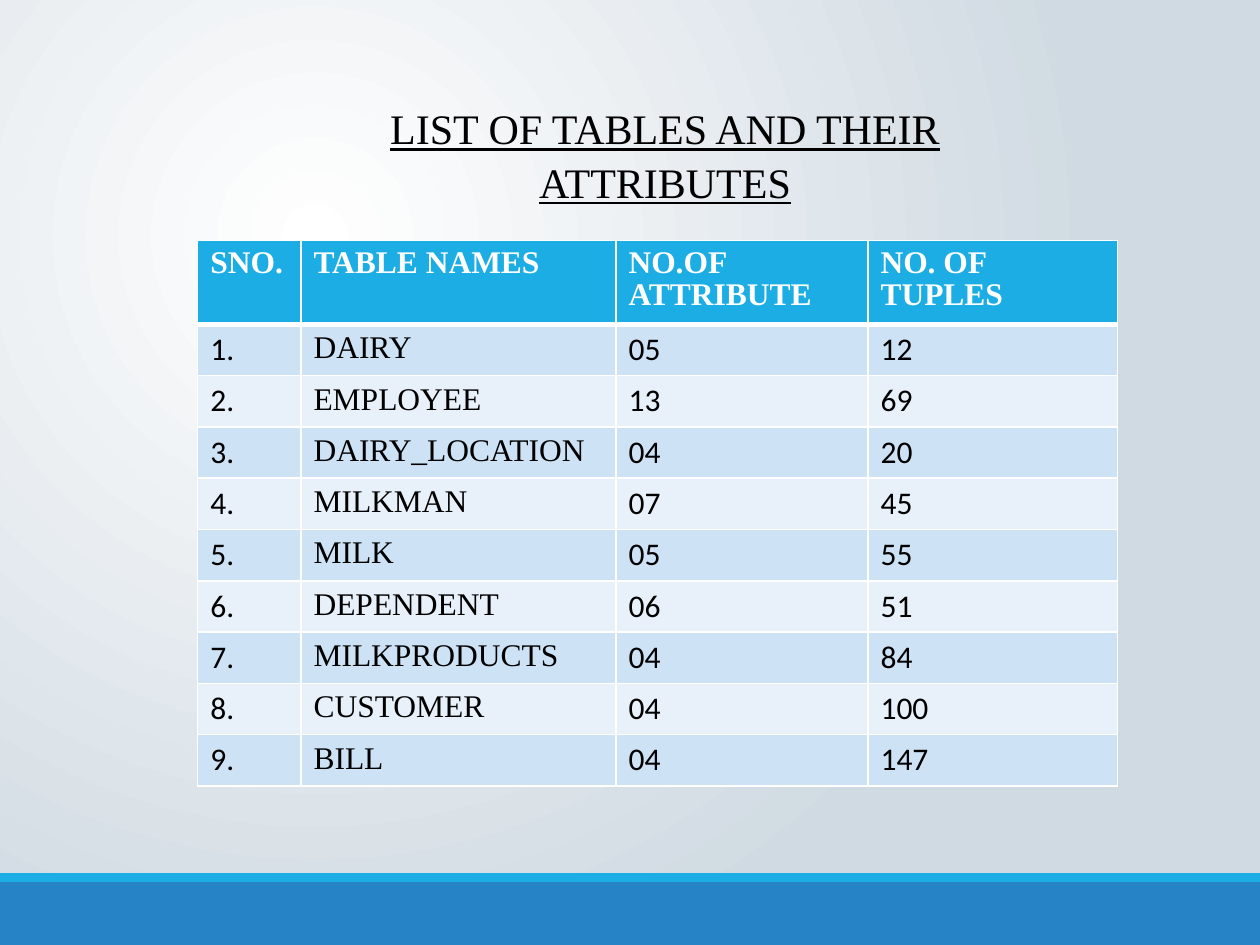
import dataclasses
import lxml.etree
import pptx
import pptx.dml.color
import pptx.enum.dml
import pptx.enum.shapes
import pptx.enum.text
import pptx.oxml
import pptx.oxml.ns
import pptx.util

Pt = pptx.util.Pt
qn = pptx.oxml.ns.qn


@dataclasses.dataclass(frozen=True)
class Theme:
    """Colours, fonts and type sizes of the slide."""
    black: str = "000000"
    white: str = "FFFFFF"
    mist: str = "D0DAE2"
    band: str = "2683C6"
    head: str = "1CADE4"
    odd: str = "CDE3F5"
    even: str = "E8F1FA"
    serif: str = "Times New Roman"
    sans: str = "Calibri"
    large: float = 24
    small: float = 18


THEME = Theme()
HEADS = ["SNO.", "TABLE NAMES", "NO.OF ATTRIBUTE", "NO. OF TUPLES"]
ROWS = [
    ("DAIRY", "05", "12"),
    ("EMPLOYEE", "13", "69"),
    ("DAIRY_LOCATION", "04", "20"),
    ("MILKMAN", "07", "45"),
    ("MILK", "05", "55"),
    ("DEPENDENT", "06", "51"),
    ("MILKPRODUCTS", "04", "84"),
    ("CUSTOMER", "04", "100"),
    ("BILL", "04", "147"),
]
SHARES = [59, 180, 144, 142.5]


def tint(code):
    """Return the colour object of a hex code."""
    return pptx.dml.color.RGBColor.from_string(code)


def write(frame, text, size=THEME.small, font=THEME.sans, color=THEME.black,
          bold=False, line=False, align=pptx.enum.text.PP_ALIGN.LEFT, space=1.0):
    """Put formatted text in a text frame."""
    para = frame.paragraphs[0]
    para.alignment = align
    para.line_spacing = space
    run = para.add_run()
    run.text = text
    run.font.size = Pt(size)
    run.font.name = font
    run.font.bold = bold
    run.font.underline = line
    run.font.color.rgb = tint(color)


def paint(slide):
    """Fill the background with a radial gradient."""
    fill = slide.background.fill
    fill.gradient()
    for stop, code, place in zip(fill.gradient_stops, (THEME.white, THEME.mist), (0, 1)):
        stop.color.rgb = tint(code)
        stop.position = place
    grad = slide.background._cSld.find(".//" + qn("a:gradFill"))
    grad.remove(grad.find(qn("a:lin")))
    ring = lxml.etree.SubElement(grad, qn("a:path"), path="circle")
    lxml.etree.SubElement(ring, qn("a:fillToRect"),
                          l="50000", t="50000", r="100000", b="100000")


def footer(slide, left, top, width, height):
    """Draw the thin strip and the wide band below it."""
    strip = 5
    for y, tall, code in ((top + strip, height - strip, THEME.band),
                          (top, strip, THEME.head)):
        bar = slide.shapes.add_shape(pptx.enum.shapes.MSO_SHAPE.RECTANGLE,
                                     Pt(left), Pt(y), Pt(width), Pt(tall))
        bar.shadow.inherit = False
        bar.fill.solid()
        bar.fill.fore_color.rgb = tint(code)
        bar.line.fill.background()


def heading(slide, left, top, width, height):
    """Place and format the title."""
    title = slide.shapes.title
    title.left, title.top = Pt(left), Pt(top)
    title.width, title.height = Pt(width), Pt(height)
    frame = title.text_frame
    frame.word_wrap = True
    frame.auto_size = pptx.enum.text.MSO_AUTO_SIZE.SHAPE_TO_FIT_TEXT
    frame.vertical_anchor = pptx.enum.text.MSO_ANCHOR.TOP
    write(frame, "LIST OF TABLES AND THEIR ATTRIBUTES", size=THEME.large,
          font=THEME.serif, line=True, space=1.06,
          align=pptx.enum.text.PP_ALIGN.CENTER)


def edge(cell, **widths):
    """Give a cell white borders of the stated widths."""
    props = cell._tc.get_or_add_tcPr()
    for side in "LRTB":
        rule = lxml.etree.SubElement(props, qn("a:ln" + side),
                                     w=str(Pt(widths.get(side, 1))))
        fill = lxml.etree.SubElement(rule, qn("a:solidFill"))
        lxml.etree.SubElement(fill, qn("a:srgbClr"), val=THEME.white)


def listing(slide, left, top, width, height):
    """Build the table of names and counts."""
    data = [HEADS] + [(f"{n}.", *row) for n, row in enumerate(ROWS, 1)]
    table = slide.shapes.add_table(len(data), len(HEADS), Pt(left), Pt(top),
                                   Pt(width), Pt(height)).table
    table.horz_banding = False
    for col, share in zip(table.columns, SHARES):
        col.width = Pt(width * share / sum(SHARES))
    first = 46.5
    for r, row in enumerate(data):
        table.rows[r].height = Pt((height - first) / len(ROWS) if r else first)
        for c, text in enumerate(row):
            cell = table.cell(r, c)
            edge(cell, T=3 if r == 1 else 1, B=1 if r else 3)
            cell.fill.solid()
            if r == 0:
                code = THEME.head
                look = dict(font=THEME.serif, color=THEME.white, bold=True, space=0.94)
            else:
                code = THEME.odd if r % 2 else THEME.even
                look = dict(font=THEME.serif if c == 1 else THEME.sans)
            cell.fill.fore_color.rgb = tint(code)
            write(cell.text_frame, text, **look)


def main():
    """Build and save the slide."""
    deck = pptx.Presentation()
    deck.slide_width, deck.slide_height = Pt(720), Pt(540)
    slide = deck.slides.add_slide(deck.slide_layouts[5])
    paint(slide)
    footer(slide, 0, 499, 720, 41)
    listing(slide, 113, 137.5, 525.5, 310.5)
    heading(slide, 175, 53.5, 410, 65.5)
    deck.save("out.pptx")


main()
